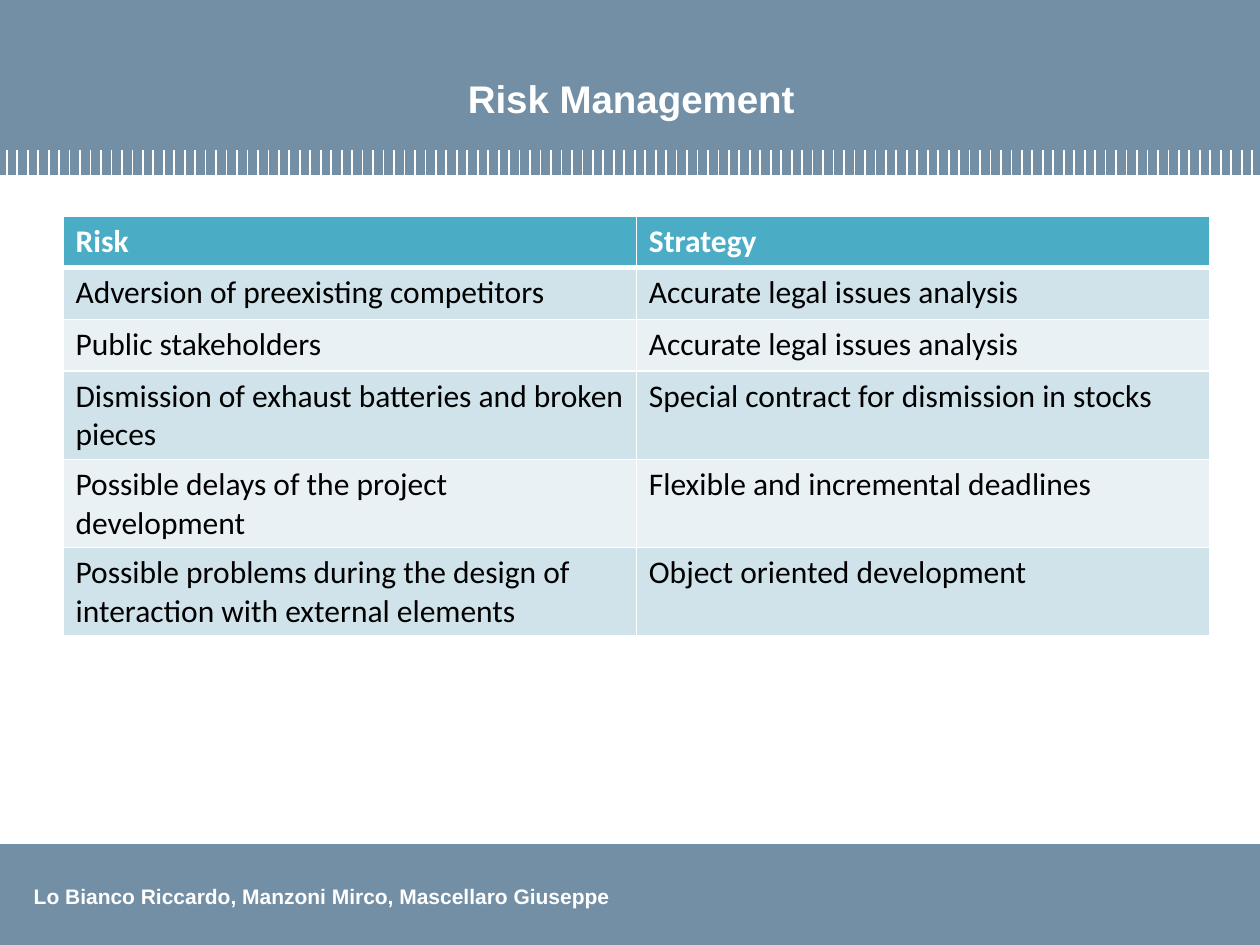
from lxml.etree import SubElement
from pptx import Presentation
from pptx.dml.color import RGBColor
from pptx.enum.shapes import MSO_CONNECTOR, MSO_SHAPE
from pptx.enum.text import MSO_ANCHOR, PP_ALIGN
from pptx.oxml.ns import qn
from pptx.util import Pt

TITLE = "Risk Management"
AUTHORS = "Lo Bianco Riccardo, Manzoni Mirco, Mascellaro Giuseppe"
ROWS = [
    ("Risk", "Strategy"),
    ("Adversion of preexisting competitors", "Accurate legal issues analysis"),
    ("Public stakeholders", "Accurate legal issues analysis"),
    ("Dismission of exhaust batteries and broken pieces",
     "Special contract for dismission in stocks"),
    ("Possible delays of the project development",
     "Flexible and incremental deadlines"),
    ("Possible problems during the design of interaction with external elements",
     "Object oriented development"),
]

WHITE = RGBColor(0xFF, 0xFF, 0xFF)
BLACK = RGBColor(0, 0, 0)
SLATE = RGBColor(0x72, 0x8F, 0xA5)
TEAL = RGBColor(0x4B, 0xAC, 0xC6)
BANDS = [RGBColor(0xE9, 0xF1, 0xF5), RGBColor(0xD0, 0xE3, 0xEA)]

WIDTH, HEIGHT = 720, 540
HEAD, FOOT = 100, 57.6
TICKS, START, STEP, TALL = 120, 3.9, 5.98, 14.4
COL, ROW = 327.6, 29.6


def style(part, **values):
    for name, value in values.items():
        setattr(part, name, value)


def write(frame, text, color, **font):
    para = frame.paragraphs[0]
    run = para.add_run()
    run.text = text
    style(run.font, **font)
    run.font.color.rgb = color
    return para


def band(shapes, top, height):
    bar = shapes.add_shape(MSO_SHAPE.RECTANGLE, 0, Pt(top), Pt(WIDTH), Pt(height))
    bar.shadow.inherit = False
    bar.fill.solid()
    bar.fill.fore_color.rgb = SLATE
    bar.line.fill.background()


def tick(shapes, x):
    line = shapes.add_connector(
        MSO_CONNECTOR.STRAIGHT, Pt(x), Pt(HEAD - TALL), Pt(x), Pt(HEAD))
    line.line.color.rgb = WHITE
    line.line.width = Pt(1)
    SubElement(line._element.spPr, qn("a:effectLst"))


def border(cell, **widths):
    """Draw white cell borders, one width in points per side."""
    props = cell._tc.get_or_add_tcPr()
    for side, width in widths.items():
        line = SubElement(props, qn("a:ln" + side), w=str(Pt(width)))
        fill = SubElement(line, qn("a:solidFill"))
        SubElement(fill, qn("a:srgbClr"), val=str(WHITE))


def grid(shapes):
    frame = shapes.add_table(
        len(ROWS), 2, Pt(36), Pt(123.3), Pt(2 * COL), Pt(ROW * len(ROWS)))
    table = frame.table
    for col in table.columns:
        col.width = Pt(COL)
    for r, texts in enumerate(ROWS):
        table.rows[r].height = Pt(ROW)
        head = r == 0
        for c, text in enumerate(texts):
            cell = table.cell(r, c)
            border(cell, L=1, R=1, T=3 if r == 1 else 1, B=3 if head else 1)
            cell.fill.solid()
            cell.fill.fore_color.rgb = TEAL if head else BANDS[r % 2]
            write(cell.text_frame, text, WHITE if head else BLACK,
                  name="Calibri", size=Pt(18), bold=head)


def main():
    deck = Presentation()
    style(deck, slide_width=Pt(WIDTH), slide_height=Pt(HEIGHT))
    shapes = deck.slides.add_slide(deck.slide_layouts[6]).shapes

    band(shapes, 0, HEAD)
    band(shapes, HEIGHT - FOOT, FOOT)
    foot = shapes.add_textbox(Pt(12.2), Pt(501.1), Pt(348), Pt(21.8)).text_frame
    foot.word_wrap = False
    write(foot, AUTHORS, WHITE, name="Arial", size=Pt(12), bold=True)

    for i in range(TICKS):
        tick(shapes, START + i * STEP)

    title = shapes.add_textbox(Pt(23), Pt(10.8), Pt(675.4), Pt(66.2)).text_frame
    style(title, word_wrap=True, vertical_anchor=MSO_ANCHOR.BOTTOM,
          margin_bottom=Pt(8))
    para = write(title, TITLE, WHITE, name="Arial", size=Pt(22), bold=True)
    para.alignment = PP_ALIGN.CENTER

    grid(shapes)
    deck.save("out.pptx")


if __name__ == "__main__":
    main()
